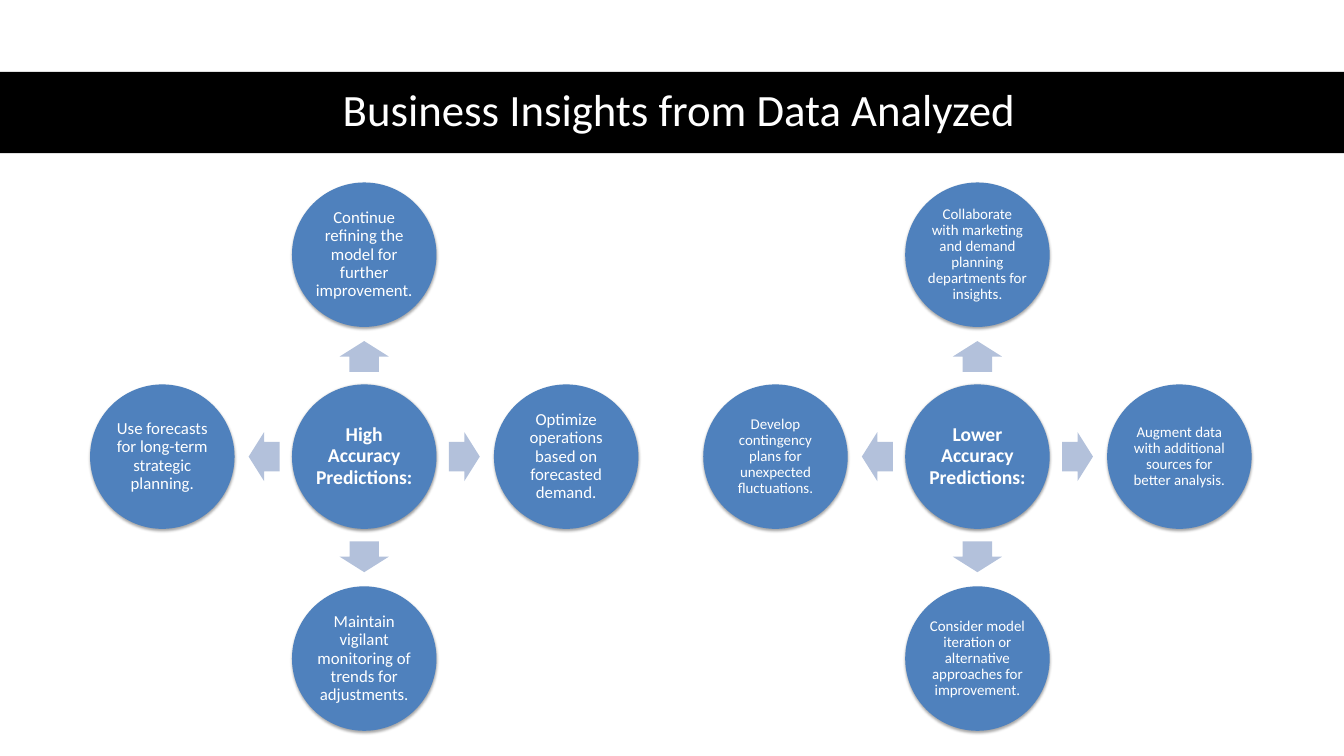
"""Build the business insights slide with two hub-and-spoke diagrams."""
from dataclasses import dataclass

import pptx
import pptx.dml.color
import pptx.enum.shapes
import pptx.enum.text
import pptx.oxml
import pptx.oxml.ns
import pptx.shapes.autoshape
import pptx.slide
import pptx.util
from pptx.dml.color import RGBColor
from pptx.util import Inches, Pt

WHITE = RGBColor(0xFF, 0xFF, 0xFF)
BLACK = RGBColor(0x00, 0x00, 0x00)
BLUE = RGBColor(0x4F, 0x81, 0xBD)
PALE_BLUE = RGBColor(0xB3, 0xC1, 0xDB)

FONT = "Calibri"
DIAMETER = 2.15
ARROW_LENGTH, ARROW_WIDTH = 0.46, 0.73
SPOKE_REACH = 3.005
ARROW_REACH = 1.49
HUB_Y = 6.795
DIRECTIONS = ((0, -1, 270), (1, 0, 0), (0, 1, 90), (-1, 0, 180))


@dataclass(frozen=True)
class Diagram:
    center_x: float
    hub: str
    actions: tuple[str, str, str, str]
    action_size: int
    action_inset: float


DIAGRAMS = (
    Diagram(
        14.545,
        "Lower Accuracy Predictions:",
        (
            "Collaborate with marketing and demand planning departments for insights.",
            "Augment data with additional sources for better analysis.",
            "Consider model iteration or alternative approaches for improvement.",
            "Develop contingency plans for unexpected fluctuations.",
        ),
        16,
        0.02,
    ),
    Diagram(
        5.42,
        "High Accuracy Predictions:",
        (
            "Continue refining the model for further improvement.",
            "Optimize operations based on forecasted demand.",
            "Maintain vigilant monitoring of trends for adjustments.",
            "Use forecasts for long-term strategic planning.",
        ),
        18,
        0.03,
    ),
)


def add_filled(
    slide: pptx.slide.Slide,
    kind: pptx.enum.shapes.MSO_SHAPE,
    center: tuple[float, float],
    size: tuple[float, float],
    color: RGBColor,
) -> pptx.shapes.autoshape.Shape:
    """Add a borderless, shadowless shape around a center point."""
    (x, y), (width, height) = center, size
    shape = slide.shapes.add_shape(
        kind, Inches(x - width / 2), Inches(y - height / 2), Inches(width), Inches(height)
    )
    shape.fill.solid()
    shape.fill.fore_color.rgb = color
    shape.line.fill.background()
    shape.shadow.inherit = False
    return shape


def add_shadow(shape: pptx.shapes.autoshape.Shape, opacity: int, distance: float) -> None:
    """Cast a soft black shadow straight down."""
    effects = shape.element.spPr.find(pptx.oxml.ns.qn("a:effectLst"))
    effects.append(
        pptx.oxml.parse_xml(
            f'<a:outerShdw {pptx.oxml.ns.nsdecls("a")} blurRad="{Pt(3.1)}" '
            f'dist="{Pt(distance)}" dir="5400000" rotWithShape="0">'
            f'<a:srgbClr val="{BLACK}"><a:alpha val="{opacity * 1000}"/></a:srgbClr>'
            "</a:outerShdw>"
        )
    )


def format_text(
    shape: pptx.shapes.autoshape.Shape, text: str, size: int, bold: bool = False
) -> None:
    """Write one centered white paragraph."""
    frame = shape.text_frame
    frame.text = text
    frame.word_wrap = True
    frame.auto_size = pptx.enum.text.MSO_AUTO_SIZE.NONE
    frame.vertical_anchor = pptx.enum.text.MSO_ANCHOR.MIDDLE
    paragraph = frame.paragraphs[0]
    paragraph.alignment = pptx.enum.text.PP_ALIGN.CENTER
    paragraph.line_spacing = 0.9
    paragraph.font.name = FONT
    paragraph.font.size = Pt(size)
    paragraph.font.bold = bold
    paragraph.font.color.rgb = WHITE


def add_circle(
    slide: pptx.slide.Slide,
    center: tuple[float, float],
    text: str,
    size: int,
    inset: float,
    is_hub: bool = False,
) -> None:
    """Add a labelled circle, bold when it is a hub."""
    circle = add_filled(
        slide, pptx.enum.shapes.MSO_SHAPE.OVAL, center, (DIAMETER, DIAMETER), BLUE
    )
    add_shadow(circle, 38 if is_hub else 35, 1.6 if is_hub else 1.8)
    format_text(circle, text, size, is_hub)
    frame = circle.text_frame
    frame.margin_left = frame.margin_right = Inches(inset)
    frame.margin_top = frame.margin_bottom = Inches(inset)


def add_diagram(slide: pptx.slide.Slide, diagram: Diagram) -> None:
    """Draw a hub with an arrow and an action circle on each side."""
    add_circle(slide, (diagram.center_x, HUB_Y), diagram.hub, 21, 0.03, is_hub=True)
    for (dx, dy, rotation), action in zip(DIRECTIONS, diagram.actions):
        arrow = add_filled(
            slide,
            pptx.enum.shapes.MSO_SHAPE.RIGHT_ARROW,
            (diagram.center_x + dx * ARROW_REACH, HUB_Y + dy * ARROW_REACH),
            (ARROW_LENGTH, ARROW_WIDTH),
            PALE_BLUE,
        )
        arrow.adjustments[0] = 0.6
        arrow.adjustments[1] = 0.5
        arrow.rotation = rotation
        add_circle(
            slide,
            (diagram.center_x + dx * SPOKE_REACH, HUB_Y + dy * SPOKE_REACH),
            action,
            diagram.action_size,
            diagram.action_inset,
        )


def main() -> None:
    """Assemble and save the presentation."""
    presentation = pptx.Presentation()
    presentation.slide_width = Inches(20)
    presentation.slide_height = Inches(11.25)
    slide = presentation.slides.add_slide(presentation.slide_layouts[5])

    title = slide.shapes.title
    title.left, title.top = Inches(0.91), Inches(1.06)
    title.width, title.height = Inches(18.39), Inches(1.22)
    format_text(title, "Business Insights from Data Analyzed", 48)
    banner = add_filled(
        slide, pptx.enum.shapes.MSO_SHAPE.RECTANGLE, (10, 1.675), (20, 1.21), BLACK
    )
    title.element.addprevious(banner.element)

    for diagram in DIAGRAMS:
        add_diagram(slide, diagram)
    presentation.save("out.pptx")


if __name__ == "__main__":
    main()
